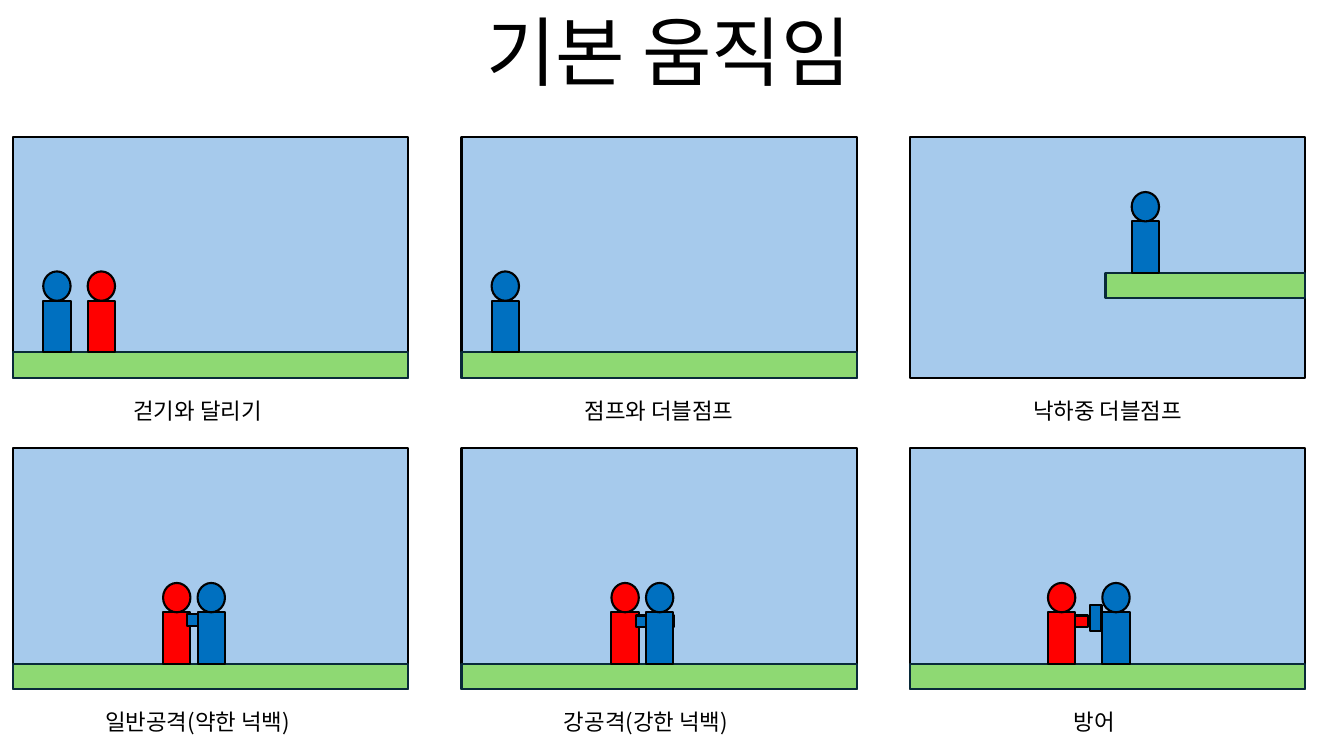
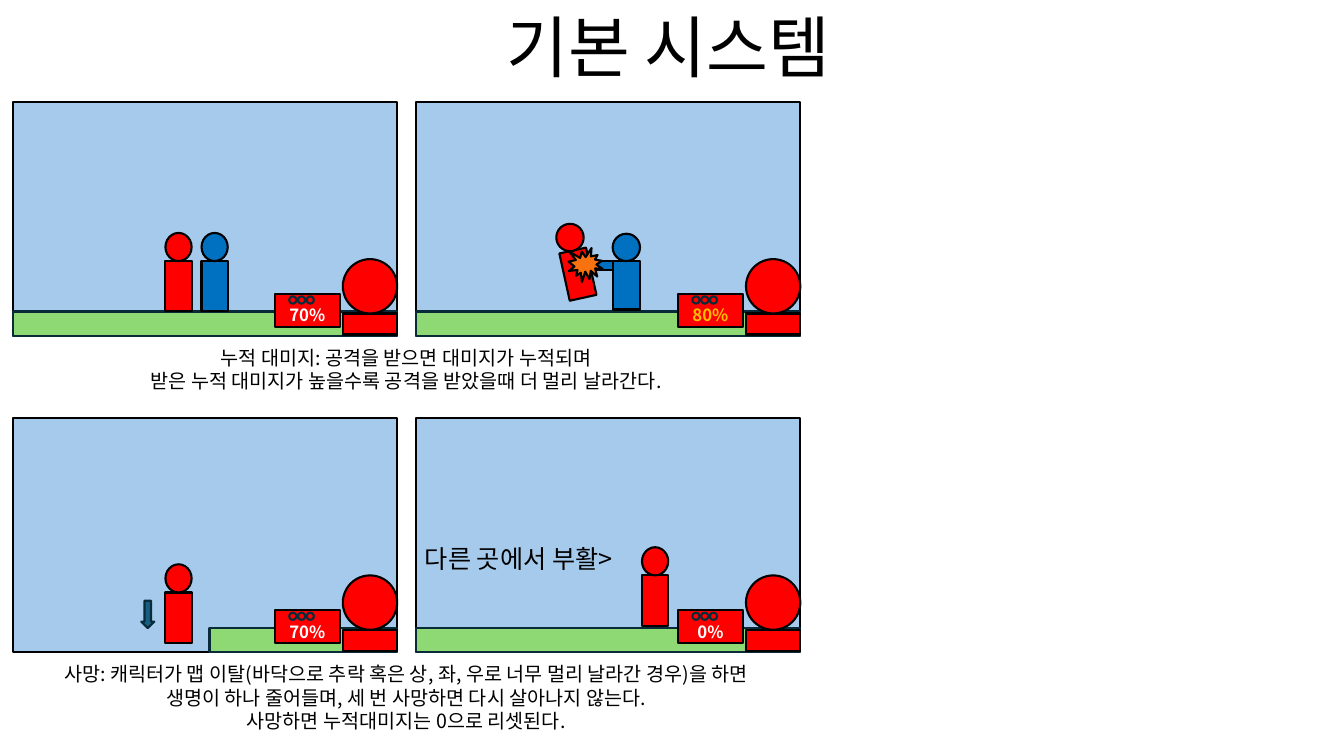
from dataclasses import dataclass
from typing import Optional, Union

from pptx import Presentation
from pptx.dml.color import RGBColor
from pptx.enum import shapes, text
from pptx.util import Cm, Pt

Preset = shapes.MSO_SHAPE


@dataclass(frozen=True)
class Theme:
    font: str = "Noto Sans CJK KR"
    ink: str = "000000"
    white: str = "FFFFFF"
    sky: str = "A6CAEC"
    grass: str = "8ED973"
    trim: str = "092A39"
    blue: str = "0070C0"
    red: str = "FF0000"
    warning: str = "FFC000"
    burst: str = "F87310"
    arrow: str = "156082"
    line: float = 1.5
    movement_title: int = 54
    system_title: int = 48
    respawn: int = 18
    movement_caption: int = 16
    system_caption: int = 14
    score: int = 12


THEME = Theme()


# Scene elements; lengths are centimetres from the scene's top left corner
@dataclass(frozen=True)
class Block:
    left: float
    top: float
    width: float
    height: float
    fill: str
    preset: Preset = Preset.RECTANGLE
    outline: str = THEME.ink
    rotation: float = 0


@dataclass(frozen=True)
class Build:
    width: float
    body: float
    head: float


TALL = Build(0.69, 1.3, 0.74)
SMALL = Build(0.66, 1.27, 0.71)
STOCKY = Build(0.69, 1.22, 0.69)


@dataclass(frozen=True)
class Fighter:
    left: float
    foot: float
    colour: str
    build: Build


@dataclass(frozen=True)
class Score:
    value: str
    colour: str = THEME.white


@dataclass(frozen=True)
class Label:
    left: float
    top: float
    width: float
    height: float
    lines: tuple[str, ...]
    size: int
    align: text.PP_ALIGN = text.PP_ALIGN.CENTER


Element = Union[Block, Fighter, Score, Label]


@dataclass(frozen=True)
class Grid:
    left: float
    top: float
    column_pitch: float
    row_pitch: float
    width: float
    height: float
    ground: float


@dataclass(frozen=True)
class Scene:
    column: int
    row: int
    elements: tuple[Element, ...]
    ground_left: float = 0
    ground_top: Optional[float] = None


# Drawing
def style_paragraph(paragraph, size: int, colour: str, align: text.PP_ALIGN) -> None:
    paragraph.alignment = align
    paragraph.font.name = THEME.font
    paragraph.font.size = Pt(size)
    paragraph.font.color.rgb = RGBColor.from_string(colour)


def draw_block(container, block: Block, x: float, y: float):
    shape = container.add_shape(block.preset, Cm(x + block.left), Cm(y + block.top),
                                Cm(block.width), Cm(block.height))
    shape.shadow.inherit = False
    shape.fill.solid()
    shape.fill.fore_color.rgb = RGBColor.from_string(block.fill)
    shape.line.color.rgb = RGBColor.from_string(block.outline)
    shape.line.width = Pt(THEME.line)
    shape.rotation = block.rotation
    return shape


def draw_fighter(container, fighter: Fighter, x: float, y: float) -> None:
    build = fighter.build
    body_top = fighter.foot - build.body
    group = container.add_group_shape().shapes
    draw_block(group, Block(fighter.left, body_top, build.width, build.body,
                            fighter.colour), x, y)
    draw_block(group, Block(fighter.left, body_top - build.head, build.width, build.head,
                            fighter.colour, Preset.OVAL), x, y)


def draw_score(container, score: Score, x: float, y: float) -> None:
    group = container.add_group_shape().shapes
    draw_block(group, Block(8.31, 5.33, 1.37, 0.53, THEME.red), x, y)
    draw_block(group, Block(8.31, 3.96, 1.37, 1.37, THEME.red, Preset.OVAL), x, y)
    card = draw_block(group, Block(6.6, 4.83, 1.63, 0.84, THEME.red), x, y)
    frame = card.text_frame
    frame.margin_top, frame.margin_bottom = Cm(0.25), Cm(0)
    frame.vertical_anchor = text.MSO_ANCHOR.MIDDLE
    paragraph = frame.paragraphs[0]
    paragraph.text = score.value
    style_paragraph(paragraph, THEME.score, score.colour, text.PP_ALIGN.CENTER)
    paragraph.font.bold = True
    for life in range(3):
        draw_block(group, Block(6.96 + 0.22 * life, 4.9, 0.18, 0.18, THEME.red,
                                Preset.OVAL, THEME.trim), x, y)


def draw_label(container, label: Label, x: float, y: float) -> None:
    box = container.add_textbox(Cm(x + label.left), Cm(y + label.top),
                                Cm(label.width), Cm(label.height))
    frame = box.text_frame
    frame.word_wrap = True
    for index, line in enumerate(label.lines):
        paragraph = frame.add_paragraph() if index else frame.paragraphs[0]
        paragraph.text = line
        style_paragraph(paragraph, label.size, THEME.ink, label.align)


DRAWERS = {Block: draw_block, Fighter: draw_fighter, Score: draw_score, Label: draw_label}


def draw_scene(container, grid: Grid, scene: Scene) -> None:
    x = grid.left + scene.column * grid.column_pitch
    y = grid.top + scene.row * grid.row_pitch
    ground_top = grid.height - grid.ground if scene.ground_top is None else scene.ground_top
    draw_block(container, Block(0, 0, grid.width, grid.height, THEME.sky), x, y)
    draw_block(container, Block(scene.ground_left, ground_top, grid.width - scene.ground_left,
                                grid.ground, THEME.grass, outline=THEME.trim), x, y)
    for element in scene.elements:
        DRAWERS[type(element)](container, element, x, y)


def add_slide(presentation, title: str, size: int, height: float, grid: Grid,
              scenes: tuple[Scene, ...]) -> None:
    slide = presentation.slides.add_slide(presentation.slide_layouts[5])
    heading = slide.shapes.title
    heading.left, heading.top = Cm(-0.2), Cm(0)
    heading.width, heading.height = Cm(34.09), Cm(height)
    frame = heading.text_frame
    frame.text = title
    frame.auto_size = text.MSO_AUTO_SIZE.NONE
    frame.vertical_anchor = text.MSO_ANCHOR.TOP
    style_paragraph(frame.paragraphs[0], size, THEME.ink, text.PP_ALIGN.CENTER)
    for scene in scenes:
        draw_scene(slide.shapes, grid, scene)


# Content of the movement slide
MOVEMENT_GRID = Grid(0.33, 3.45, 11.3, 7.85, 9.96, 6.07, 0.64)
FLOOR = 5.43


def movement_caption(line: str, shift: float = 0) -> Label:
    return Label(shift, 6.43, 9.96, 0.94, (line,), THEME.movement_caption)


def punch(reach: Block, line: str) -> tuple[Element, ...]:
    return (Fighter(3.78, FLOOR, THEME.red, TALL), movement_caption(line, -0.33),
            reach, Fighter(4.65, FLOOR, THEME.blue, TALL))


MOVEMENT_SCENES = (
    Scene(0, 0, (Fighter(0.76, FLOOR, THEME.blue, TALL),
                 Fighter(1.88, FLOOR, THEME.red, TALL),
                 movement_caption("걷기와 달리기", -0.33))),
    Scene(1, 0, (Fighter(0.76, FLOOR, THEME.blue, TALL),
                 movement_caption("점프와 더블점프"))),
    Scene(2, 0, (Fighter(5.59, 3.43, THEME.blue, TALL),
                 movement_caption("낙하중 더블점프")), 4.93, 3.43),
    Scene(0, 1, punch(Block(4.39, 4.17, 0.76, 0.3, THEME.blue), "일반공격(약한 넉백)")),
    Scene(1, 1, punch(Block(4.41, 4.21, 0.94, 0.3, THEME.blue), "강공격(강한 넉백)")),
    Scene(2, 1, (movement_caption("방어", -0.33),
                 Fighter(4.85, FLOOR, THEME.blue, TALL),
                 Block(4.55, 3.94, 0.28, 0.66, THEME.blue),
                 Block(3.54, 4.21, 0.94, 0.3, THEME.red),
                 Fighter(3.48, FLOOR, THEME.red, TALL))),
)

# Content of the system slide
SYSTEM_GRID = Grid(0.33, 2.57, 10.16, 7.97, 9.68, 5.89, 0.61)


def system_caption(height: float, *lines: str) -> Label:
    return Label(0, 6.02, 19.81, height, lines, THEME.system_caption)


SYSTEM_SCENES = (
    Scene(0, 0, (Fighter(3.84, 5.28, THEME.red, SMALL),
                 system_caption(1.45, "누적 대미지: 공격을 받으면 대미지가 누적되며",
                                "받은 누적 대미지가 높을수록 공격을 받았을때 더 멀리 날라간다."),
                 Fighter(4.75, 5.28, THEME.blue, SMALL),
                 Score("70%"))),
    Scene(1, 0, (Score("80%", THEME.warning),
                 Fighter(4.95, 5.23, THEME.blue, STOCKY),
                 Block(3.73, 3.73, 0.69, 1.22, THEME.red, rotation=347.6),
                 Block(3.53, 3.07, 0.69, 0.69, THEME.red, Preset.OVAL, rotation=347.6),
                 Block(4.27, 4.01, 0.69, 0.23, THEME.blue),
                 Block(3.84, 3.68, 0.86, 0.86, THEME.burst, Preset.EXPLOSION1))),
    Scene(0, 1, (Fighter(3.84, 5.66, THEME.red, SMALL),
                 system_caption(
                     2.06,
                     "사망: 캐릭터가 맵 이탈(바닥으로 추락 혹은 상, 좌, 우로 너무 멀리 날라간 경우)을 하면",
                     "생명이 하나 줄어들며, 세 번 사망하면 다시 살아나지 않는다.",
                     "사망하면 누적대미지는 0으로 리셋된다."),
                 Score("70%"),
                 Block(3.23, 4.6, 0.33, 0.69, THEME.arrow, Preset.DOWN_ARROW, THEME.trim)),
          4.95),
    Scene(1, 1, (Score("0%"),
                 Fighter(5.69, 5.23, THEME.red, SMALL),
                 Label(-0.03, 3.02, 6.63, 1.02, ("다른 곳에서 부활>",), THEME.respawn,
                       text.PP_ALIGN.LEFT))),
)


def main() -> None:
    presentation = Presentation()
    presentation.slide_width, presentation.slide_height = Cm(33.87), Cm(19.05)
    add_slide(presentation, "기본 움직임", THEME.movement_title, 2.57,
              MOVEMENT_GRID, MOVEMENT_SCENES)
    add_slide(presentation, "기본 시스템", THEME.system_title, 2.31,
              SYSTEM_GRID, SYSTEM_SCENES)
    presentation.save("out.pptx")


if __name__ == "__main__":
    main()
